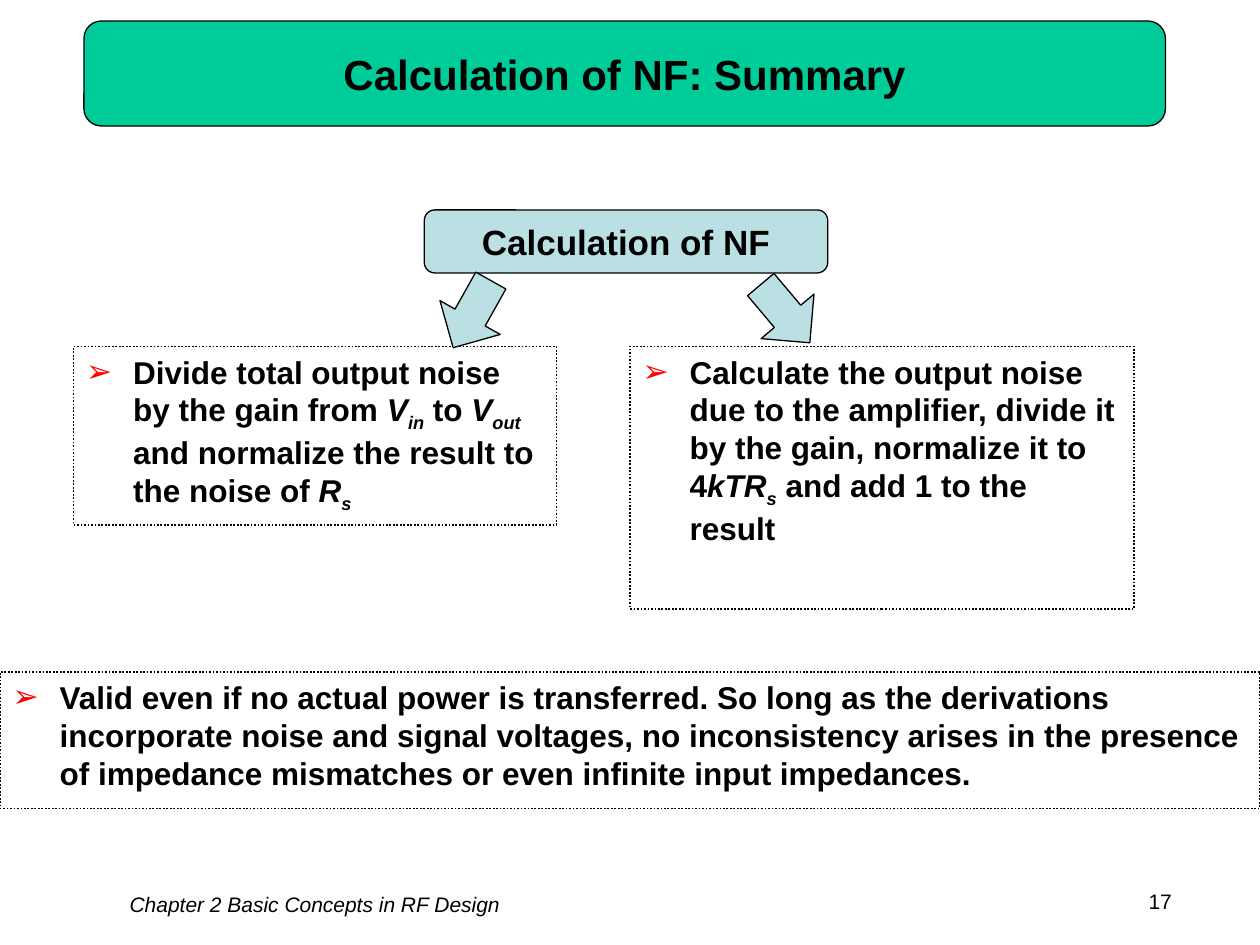
from lxml.etree import SubElement
from pptx import Presentation
from pptx.dml.color import RGBColor
from pptx.enum.dml import MSO_LINE
from pptx.enum.shapes import MSO_SHAPE
from pptx.enum.text import MSO_ANCHOR, PP_ALIGN
from pptx.oxml.ns import qn
from pptx.util import Pt

COLORS = {"black": "000000", "green": "00CC99", "blue": "BBE0E3", "red": "FF0000"}

# Content: runs are (text, style), where style is "", "italic" or "sub"
TITLE = "Calculation of NF: Summary"
TOPIC = "Calculation of NF"
FOOTER = "Chapter 2 Basic Concepts in RF Design"
PAGE_NUMBER = "17"
NOTES = [
    ((42, 198, 276, 102), [
        ("Divide total output noise by the gain from ", ""),
        ("V", "italic"), ("in", "sub"), (" to ", ""),
        ("V", "italic"), ("out", "sub"),
        (" and normalize the result to the noise of ", ""),
        ("R", "italic"), ("s", "sub")]),
    ((360, 198, 288, 150), [
        ("Calculate the output noise due to the amplifier, divide it by the gain, "
         "normalize it to 4", ""),
        ("kTR", "italic"), ("s", "sub"), (" and add 1 to the result", "")]),
    ((0, 384, 720, 78), [
        ("Valid even if no actual power is transferred. So long as the derivations "
         "incorporate noise and signal voltages, no inconsistency arises in the "
         "presence of impedance mismatches or even infinite input impedances.", "")]),
]
ARROWS = [((250, 157.5, 39.5, 44), 29.3), ((429, 157.5, 39.5, 43.5), 319.9)]
BULLET_INDENT = Pt(27)


def color(name):
    return RGBColor.from_string(COLORS[name])


def add_box(slide, preset, place, fill=None, line_width=0.75, dash=None):
    box = slide.shapes.add_shape(preset, *map(Pt, place))
    box.shadow.inherit = False
    if fill:
        box.fill.solid()
        box.fill.fore_color.rgb = color(fill)
    else:
        box.fill.background()
    box.line.color.rgb = color("black")
    box.line.width = Pt(line_width)
    if dash:
        box.line.dash_style = dash
    return box


def add_bullet(paragraph):
    properties = paragraph._p.get_or_add_pPr()
    properties.set("marL", str(BULLET_INDENT))
    properties.set("indent", str(-BULLET_INDENT))
    bullet_color = SubElement(properties, qn("a:buClr"))
    SubElement(bullet_color, qn("a:srgbClr"), val=COLORS["red"])
    SubElement(properties, qn("a:buFont"), typeface="Arial")
    SubElement(properties, qn("a:buChar"), char="➢")


def write(box, runs, size=18, bold=False, italic=False, bullet=False,
          align=PP_ALIGN.CENTER, anchor=MSO_ANCHOR.TOP):
    frame = box.text_frame
    frame.word_wrap = True
    frame.vertical_anchor = anchor
    paragraph = frame.paragraphs[0]
    paragraph.alignment = align
    if bullet:
        add_bullet(paragraph)
    if isinstance(runs, str):
        runs = [(runs, "")]
    for words, style in runs:
        run = paragraph.add_run()
        run.text = words
        font = run.font
        font.name, font.size, font.bold = "Arial", Pt(size), bold
        font.italic = italic or style != ""
        font.color.rgb = color("black")
        if style == "sub":
            font._element.set("baseline", "-25000")


def main():
    prs = Presentation()
    prs.slide_width, prs.slide_height = Pt(720), Pt(540)
    slide = prs.slides.add_slide(prs.slide_layouts[6])

    # Title banner
    banner = add_box(slide, MSO_SHAPE.ROUNDED_RECTANGLE, (48, 12, 618, 60), "green")
    write(banner, TITLE, size=24, bold=True, anchor=MSO_ANCHOR.MIDDLE)

    # Footer and page number
    footer = slide.shapes.add_textbox(Pt(6), Pt(506), Pt(348), Pt(21.6))
    write(footer, FOOTER, size=12, italic=True)
    page_number = slide.shapes.add_textbox(Pt(606), Pt(504), Pt(114), Pt(21.6))
    write(page_number, PAGE_NUMBER, size=12)

    # Topic
    topic = add_box(slide, MSO_SHAPE.ROUNDED_RECTANGLE, (242.5, 120, 230.5, 36), "blue")
    write(topic, TOPIC, size=20, bold=True, anchor=MSO_ANCHOR.MIDDLE)

    # Dotted note boxes
    for place, runs in NOTES:
        note = add_box(slide, MSO_SHAPE.RECTANGLE, place, line_width=1,
                       dash=MSO_LINE.ROUND_DOT)
        write(note, runs, bold=True, bullet=True, align=PP_ALIGN.LEFT)

    # Arrows from the topic to the two methods
    for place, angle in ARROWS:
        arrow = add_box(slide, MSO_SHAPE.DOWN_ARROW, place, "blue")
        arrow.rotation = angle

    prs.save("out.pptx")


if __name__ == "__main__":
    main()
